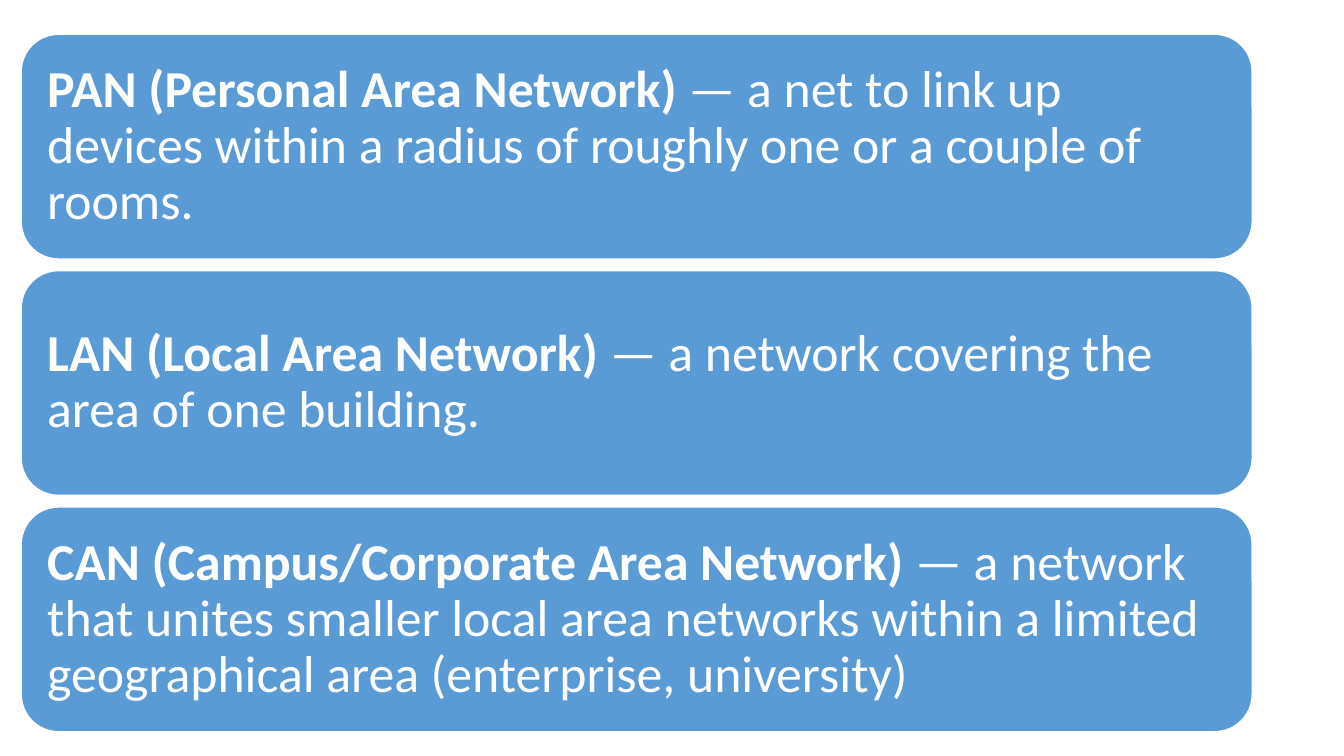
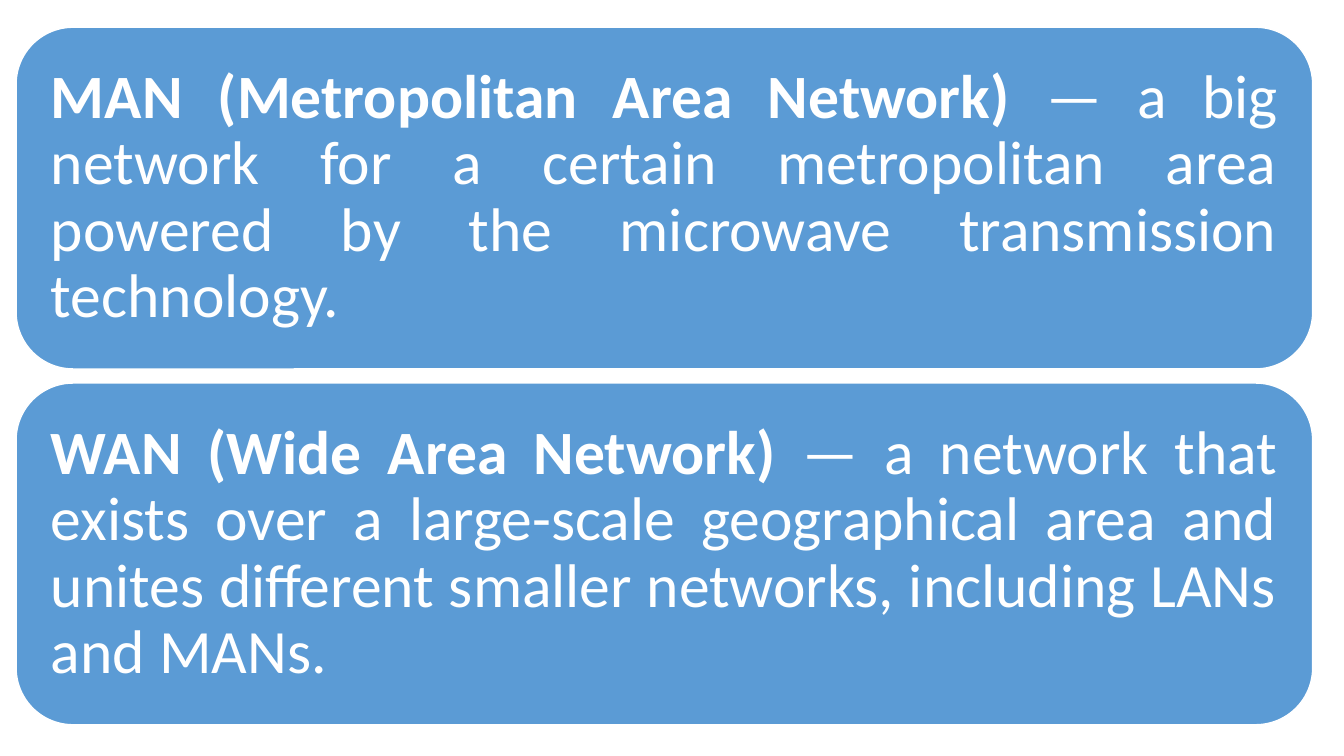
from dataclasses import dataclass

from pptx import Presentation
from pptx.dml.color import RGBColor
from pptx.enum.shapes import MSO_SHAPE
from pptx.enum.text import MSO_ANCHOR, PP_ALIGN
from pptx.util import Inches, Pt


@dataclass(frozen=True)
class Theme:
    font: str = "Calibri"
    panel: RGBColor = RGBColor(0x5B, 0x9B, 0xD5)
    light: RGBColor = RGBColor(0xFF, 0xFF, 0xFF)
    outline: float = 1
    line_spacing: float = 0.9
    regular_size: float = 37
    large_size: float = 44


def apply_format(target, values):
    for name, value in values.items():
        setattr(target, name, value)


class Deck:
    def __init__(self, theme):
        self.theme = theme
        self.presentation = Presentation()
        apply_format(self.presentation, {
            "slide_width": Inches(13.33), "slide_height": Inches(7.5)})
        self.slide = None

    def add_slide(self):
        blank = self.presentation.slide_layouts[6]
        self.slide = self.presentation.slides.add_slide(blank)

    def add_definition(self, term, meaning, bounds, size, inset, align):
        panel = self.slide.shapes.add_shape(
            MSO_SHAPE.ROUNDED_RECTANGLE, *map(Inches, bounds))
        panel.shadow.inherit = False
        panel.fill.solid()
        panel.fill.fore_color.rgb = self.theme.panel
        panel.line.color.rgb = self.theme.light
        panel.line.width = Pt(self.theme.outline)

        margins = dict.fromkeys(
            ("margin_left", "margin_top", "margin_right", "margin_bottom"),
            Inches(inset))
        apply_format(panel.text_frame, {
            "word_wrap": True, "vertical_anchor": MSO_ANCHOR.MIDDLE, **margins})
        definition = panel.text_frame.paragraphs[0]
        apply_format(definition, {
            "alignment": align, "line_spacing": self.theme.line_spacing})
        for wording, bold in ((term, True), (f" — {meaning}", False)):
            run = definition.add_run()
            run.text = wording
            apply_format(run.font, {
                "name": self.theme.font, "size": Pt(size), "bold": bold})
            run.font.color.rgb = self.theme.light

    def add_definitions(self, definitions, first, pitch, **style):
        left, top, width, height = first
        for row, (term, meaning) in enumerate(definitions):
            bounds = (left, top + row * pitch, width, height)
            self.add_definition(term, meaning, bounds, **style)


SMALLER_NETWORKS = [
    ("PAN (Personal Area Network)",
     "a net to link up devices within a radius of roughly one or a couple "
     "of rooms."),
    ("LAN (Local Area Network)",
     "a network covering the area of one building."),
    ("CAN (Campus/Corporate Area Network)",
     "a network that unites smaller local area networks within a limited "
     "geographical area (enterprise, university)"),
]
LARGER_NETWORKS = [
    ("MAN (Metropolitan Area Network)",
     "a big network for a certain metropolitan area powered by the "
     "microwave transmission technology."),
    ("WAN (Wide Area Network)",
     "a network that exists over a large-scale geographical area and unites "
     "different smaller networks, including LANs and MANs."),
]


def main():
    theme = Theme()
    deck = Deck(theme)
    deck.add_slide()
    deck.add_definitions(
        SMALLER_NETWORKS, first=(0.21, 0.34, 12.21, 2.23), pitch=2.345,
        size=theme.regular_size, inset=0.15, align=PP_ALIGN.LEFT)
    deck.add_slide()
    deck.add_definitions(
        LARGER_NETWORKS, first=(0.16, 0.27, 12.86, 3.39), pitch=3.53,
        size=theme.large_size, inset=0.18, align=PP_ALIGN.JUSTIFY)
    deck.presentation.save("out.pptx")


if __name__ == "__main__":
    main()
